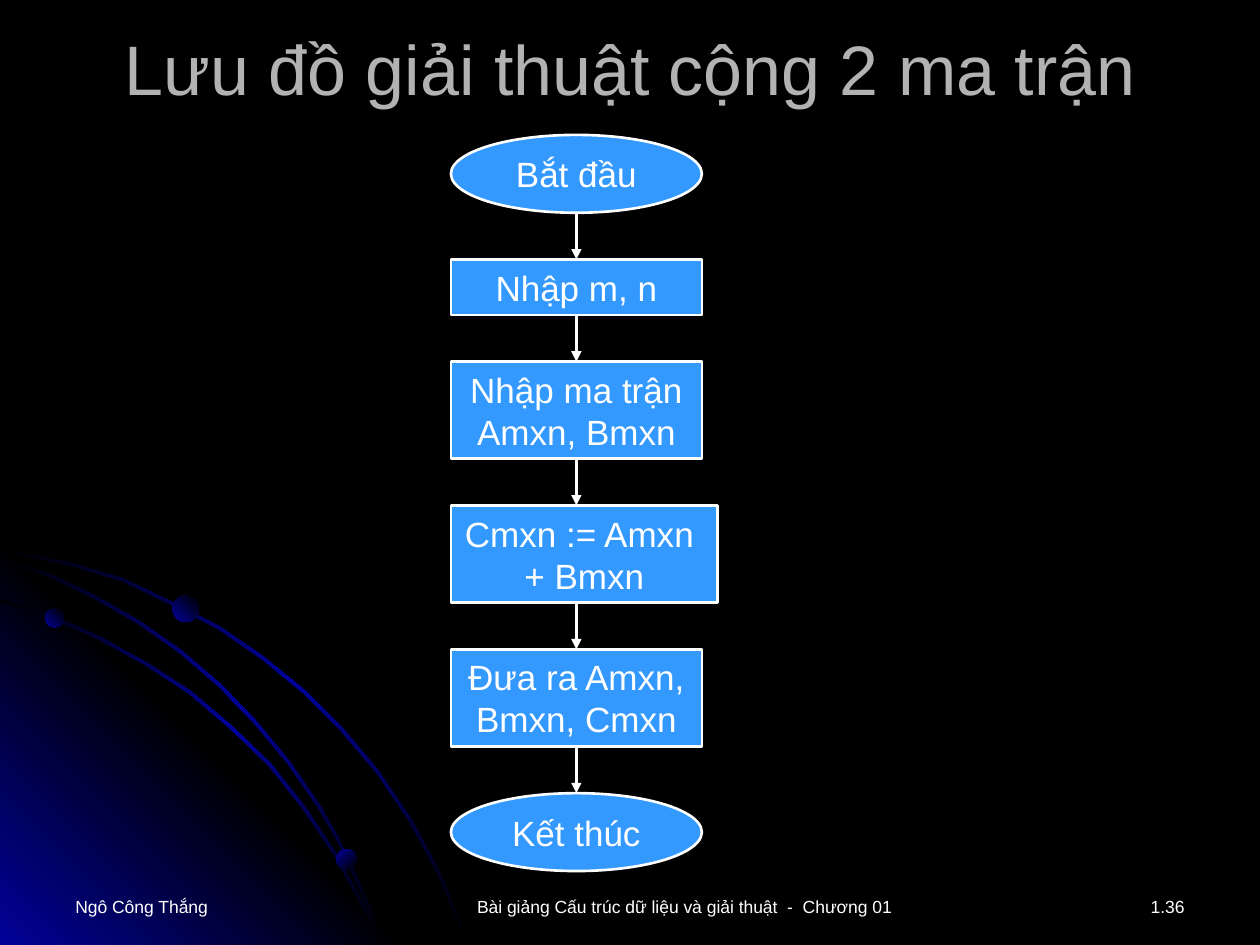
from lxml import etree
from pptx import Presentation
from pptx.dml.color import RGBColor
from pptx.enum import shapes, text
from pptx.oxml import parse_xml
from pptx.oxml.ns import nsdecls, qn
from pptx.util import Cm, Pt

BLACK = RGBColor(0x00, 0x00, 0x00)
NAVY = RGBColor(0x01, 0x01, 0x99)
SKY = RGBColor(0x33, 0x99, 0xFF)
WHITE = RGBColor(0xFF, 0xFF, 0xFF)
GREY = RGBColor(0xB2, 0xB2, 0xB2)

FONT = "Arial"
OVAL = shapes.MSO_SHAPE.OVAL
RECT = shapes.MSO_SHAPE.RECTANGLE
LEFT, CENTER, RIGHT = (text.PP_ALIGN.LEFT, text.PP_ALIGN.CENTER,
                       text.PP_ALIGN.RIGHT)

# Outer edge of each orbit, in cm
ORBIT_WIDE = [(0, 11.05), (1.45, 11.35), (2.49, 11.66), (3.45, 12.12),
              (4.42, 12.62), (5.31, 13.23), (6.15, 13.92), (6.91, 14.68),
              (7.62, 15.52), (8.26, 16.46), (8.61, 17.09), (8.94, 17.73),
              (9.19, 18.36), (9.45, 19.02)]
ORBIT_LOW = [(0, 12.07), (1.04, 12.4), (2.01, 12.83), (2.97, 13.36),
             (3.86, 13.94), (4.67, 14.63), (5.46, 15.39), (6.15, 16.26),
             (6.76, 17.17), (7.26, 18.08), (7.52, 18.54), (7.7, 19.02)]
ORBIT_MID = [(0, 11.23), (0.99, 11.56), (1.93, 12.01), (2.82, 12.52),
             (3.66, 13.11), (4.45, 13.79), (5.18, 14.55), (5.82, 15.32),
             (6.45, 16.23), (6.83, 16.89), (7.16, 17.6), (7.47, 18.29),
             (7.7, 19.02)]
CORNER = [(0, 10.85), (8.18, 19.05), (0, 19.05)]

# Left, top, diameter (cm) and gradient angle
PLANETS = [(0.91, 12.27, 0.38, 315), (6.78, 17.12, 0.41, 45),
           (3.48, 12.01, 0.53, 315)]

# Shape, width, height (cm) and wording
STEPS = [(OVAL, 5.06, 1.57, "Bắt đầu"),
         (RECT, 5.06, 1.12, "Nhập m, n"),
         (RECT, 5.06, 1.96, "Nhập ma trận Amxn, Bmxn"),
         (RECT, 5.38, 1.96, "Cmxn := Amxn  + Bmxn"),
         (RECT, 5.06, 1.96, "Đưa ra Amxn, Bmxn, Cmxn"),
         (OVAL, 5.06, 1.57, "Kết thúc")]
FLOW_LEFT, FLOW_TOP, FLOW_GAP = 9.09, 2.72, 0.94
FLOW_AXIS = FLOW_LEFT + 5.06 / 2

# Left, width (cm), alignment and wording
FOOTERS = [(1.27, 5.92, LEFT, "Ngô Công Thắng"),
           (7.52, 12.55, CENTER,
            "Bài giảng Cấu trúc dữ liệu và giải thuật  -  Chương 01"),
           (20.42, 3.71, RIGHT, "1.36")]


def write(tf, wording, size, color, align=CENTER):
    tf.word_wrap = True
    p = tf.paragraphs[0]
    p.alignment = align
    r = p.add_run()
    r.text = wording
    for name, value in {"name": FONT, "size": Pt(size)}.items():
        setattr(r.font, name, value)
    r.font.color.rgb = color


def set_gradient(sp, colors, angle):
    """Spread the colours evenly; the angle runs clockwise in degrees."""
    sp.shadow.inherit = False
    sp.line.fill.background()
    stops = "".join(
        f'<a:gs pos="{100000 * i // (len(colors) - 1)}">'
        f'<a:srgbClr val="{c}"/></a:gs>' for i, c in enumerate(colors))
    grad = parse_xml(f'<a:gradFill {nsdecls("a")}><a:gsLst>{stops}</a:gsLst>'
                     f'<a:lin ang="{angle * 60000}" scaled="0"/></a:gradFill>')
    sp._element.spPr.find(qn("a:ln")).addprevious(grad)


def add_outline(s, points, colors, angle):
    pts = [(Cm(x), Cm(y)) for x, y in points]
    builder = s.shapes.build_freeform(*pts[0])
    builder.add_line_segments(pts[1:], close=True)
    set_gradient(builder.convert_to_shape(), colors, angle)


def add_orbit(s, edge):
    """Draw a thin band between the outer edge and its inward offset."""
    inner = [(max(0, x - 0.04), min(19.02, y + 0.05)) for x, y in edge]
    add_outline(s, edge + inner[::-1], (BLACK, NAVY, BLACK), 45)


def add_planet(s, left, top, size, angle):
    sp = s.shapes.add_shape(OVAL, Cm(left), Cm(top), Cm(size), Cm(size))
    set_gradient(sp, (NAVY, BLACK), angle)


def add_step(s, kind, top, width, height, wording):
    sp = s.shapes.add_shape(kind, Cm(FLOW_LEFT), Cm(top), Cm(width), Cm(height))
    sp.shadow.inherit = False
    sp.fill.solid()
    sp.fill.fore_color.rgb = SKY
    sp.line.color.rgb = WHITE
    sp.line.width = Pt(1.5)
    sp.text_frame.vertical_anchor = text.MSO_ANCHOR.MIDDLE
    write(sp.text_frame, wording, 20, WHITE)
    return sp


def can_join(sp):
    """Tell whether sp is a rectangle centred on the flow axis."""
    offset = sp.left + sp.width // 2 - Cm(FLOW_AXIS)
    return sp.auto_shape_type == RECT and abs(offset) < Cm(0.01)


def add_arrow(s, above, below):
    x = Cm(FLOW_AXIS)
    cxn = s.shapes.add_connector(shapes.MSO_CONNECTOR.STRAIGHT, x,
                                 above.top + above.height, x, below.top)
    if can_join(above):
        cxn.begin_connect(above, 2)
    if can_join(below):
        cxn.end_connect(below, 0)
    cxn.line.color.rgb = WHITE
    cxn.line.width = Pt(1.5)
    sp_pr = cxn._element.spPr
    etree.SubElement(sp_pr.find(qn("a:ln")), qn("a:tailEnd"), type="triangle")
    etree.SubElement(sp_pr, qn("a:effectLst"))


def add_flowchart(s):
    top, previous = FLOW_TOP, None
    for kind, width, height, wording in STEPS:
        step = add_step(s, kind, top, width, height, wording)
        if previous is not None:
            add_arrow(s, previous, step)
        previous = step
        top += height + FLOW_GAP


def add_title(s, wording):
    sp = s.shapes.title
    place = {"left": 1.27, "top": 0.38, "width": 22.86, "height": 1.96}
    for name, value in place.items():
        setattr(sp, name, Cm(value))
    sp.text_frame.vertical_anchor = text.MSO_ANCHOR.MIDDLE
    write(sp.text_frame, wording, 40, GREY)


def add_footer(s, left, width, align, wording):
    sp = s.shapes.add_textbox(Cm(left), Cm(17.93), Cm(width), Cm(0.76))
    write(sp.text_frame, wording, 10, WHITE, align)


def main():
    prs = Presentation()
    prs.slide_width, prs.slide_height = Cm(25.4), Cm(19.05)
    s = prs.slides.add_slide(prs.slide_layouts[5])
    s.background.fill.solid()
    s.background.fill.fore_color.rgb = BLACK

    add_orbit(s, ORBIT_WIDE)
    add_outline(s, CORNER, (NAVY, BLACK, NAVY), 315)
    add_orbit(s, ORBIT_LOW)
    add_orbit(s, ORBIT_MID)
    for planet in PLANETS:
        add_planet(s, *planet)

    add_title(s, "Lưu đồ giải thuật cộng 2 ma trận")
    for footer in FOOTERS:
        add_footer(s, *footer)
    add_flowchart(s)
    prs.save("out.pptx")


if __name__ == "__main__":
    main()
